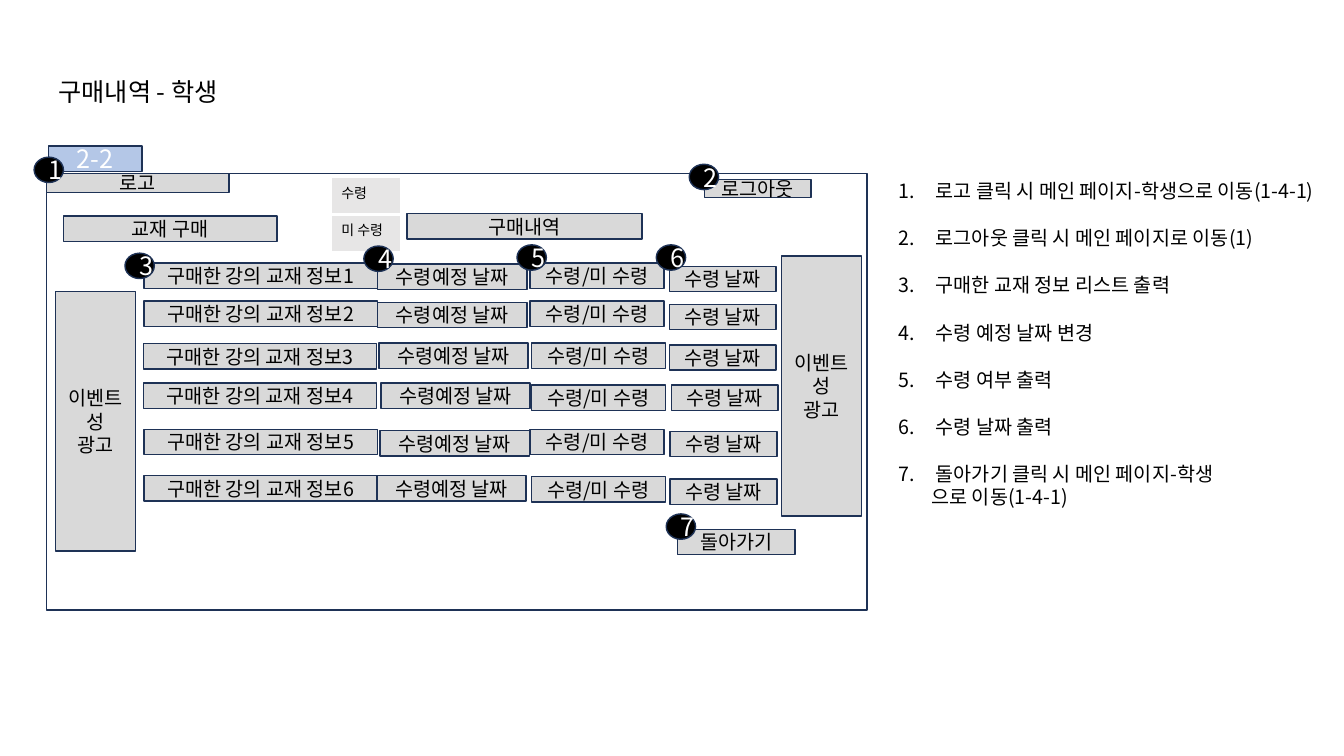
from lxml import etree
from pptx import Presentation
from pptx import util as u
from pptx.dml.color import RGBColor
from pptx.enum import shapes, text
from pptx.oxml import ns

Cm, Pt = u.Cm, u.Pt
FONT = "Noto Sans CJK KR"
COLORS = {
    "black": "000000", "white": "FFFFFF", "navy": "1E3256",
    "gray": "D9D9D9", "blue": "B4C7E7", "cell": "E7E6E6",
}


def format_text(frame, size, color, align):
    for paragraph in frame.paragraphs:
        paragraph.alignment = align
        for run in paragraph.runs:
            for name, value in {"name": FONT, "size": Pt(size), "bold": False}.items():
                setattr(run.font, name, value)
            run.font.color.rgb = RGBColor.from_string(COLORS[color])
            east_asian = etree.SubElement(run.font._element, ns.qn("a:ea"))
            east_asian.set("typeface", FONT)


def add_box(bounds, label="", fill="gray", color="black", size=14,
            kind=shapes.MSO_SHAPE.RECTANGLE):
    shape = slide.shapes.add_shape(kind, *map(Cm, bounds))
    shape.shadow.inherit = False
    shape.fill.solid()
    shape.fill.fore_color.rgb = RGBColor.from_string(COLORS[fill])
    shape.line.color.rgb = RGBColor.from_string(COLORS["navy"])
    shape.line.width = Pt(1)
    if label:
        shape.text_frame.text = label
        format_text(shape.text_frame, size, color, text.PP_ALIGN.CENTER)


presentation = Presentation()
presentation.slide_width = Cm(33.87)
presentation.slide_height = Cm(19.05)
slide = presentation.slides.add_slide(presentation.slide_layouts[1])

notes = [
    "로고 클릭 시 메인 페이지-학생으로 이동(1-4-1)",
    "로그아웃 클릭 시 메인 페이지로 이동(1)",
    "구매한 교재 정보 리스트 출력",
    "수령 예정 날짜 변경",
    "수령 여부 출력",
    "수령 날짜 출력",
    "돌아가기 클릭 시 메인 페이지-학생",
    "으로 이동(1-4-1)",
]
title, body = slide.placeholders
for placeholder, content, size, bounds in [
    (title, "구매내역 - 학생", 18, (1.22, 1.8, 5.31, 1.02)),
    (body, "\n".join(notes), 14, (22.38, 4.39, 11.45, 9.25)),
]:
    placeholder.left, placeholder.top, placeholder.width, placeholder.height = map(Cm, bounds)
    frame = placeholder.text_frame
    frame.text = content
    frame_format = {
        "auto_size": text.MSO_AUTO_SIZE.NONE,
        "vertical_anchor": text.MSO_ANCHOR.TOP,
        "word_wrap": True,
        "margin_right": 0,
    }
    for name, value in frame_format.items():
        setattr(frame, name, value)
    format_text(frame, size, "black", text.PP_ALIGN.LEFT)

for index, paragraph in enumerate(body.text_frame.paragraphs):
    numbered = index < len(notes) - 1
    paragraph.space_before = Pt(16.8 if numbered and index else 0)
    properties = paragraph._p.get_or_add_pPr()
    properties.set("marL", str(Cm(0.95 if numbered else 0.84)))
    properties.set("indent", str(Cm(-0.95 if numbered else 0)))
    if numbered:
        etree.SubElement(properties, ns.qn("a:buFont")).set("typeface", FONT)
        etree.SubElement(properties, ns.qn("a:buAutoNum")).set("type", "arabicPeriod")
    else:
        etree.SubElement(properties, ns.qn("a:buNone"))

add_box((1.17, 4.37, 20.68, 11), fill="white")
add_box((1.22, 3.68, 2.36, 0.64), "2-2", "blue", "white", 18)

for label, bounds in {
    "교재 구매": (1.6, 5.44, 5.38, 0.64),
    "구매내역": (10.26, 5.38, 5.92, 0.64),
    "돌아가기": (17.07, 13.34, 2.97, 0.64),
    "로고": (1.17, 4.37, 4.6, 0.48),
    "로그아웃": (17.75, 4.52, 2.69, 0.46),
}.items():
    add_box(bounds, label)

columns = [
    ("구매한 강의 교재 정보{}", 5.88,
     [3.63, 3.63, 3.61, 3.61, 3.63, 3.63], [6.63, 7.59, 8.66, 9.65, 10.82, 11.99]),
    ("수령/미 수령", 3.38,
     [13.36, 13.36, 13.39, 13.39, 13.36, 13.39], [6.63, 7.59, 8.64, 9.7, 10.82, 12.01]),
    ("수령 날짜", 2.69,
     [16.87, 16.87, 16.87, 16.92, 16.89, 16.89], [6.71, 7.67, 8.69, 9.7, 10.87, 12.07]),
    ("수령예정 날짜", 3.76,
     [9.52, 9.52, 9.55, 9.6, 9.58, 9.5], [6.65, 7.62, 8.64, 9.65, 10.85, 11.99]),
]
for label, width, lefts, tops in columns:
    for number, (left, top) in enumerate(zip(lefts, tops), 1):
        add_box((left, top, width, 0.64), label.format(number))

status_table = slide.shapes.add_table(2, 1, Cm(8.35), Cm(4.48), Cm(1.75), Cm(1.85)).table
status_table.first_row = status_table.horz_banding = False
for row, status in enumerate(["수령", "미 수령"]):
    cell = status_table.cell(row, 0)
    cell.text = status
    format_text(cell.text_frame, 10, "black", text.PP_ALIGN.LEFT)
    borders = {"lnL": 1, "lnR": 1, "lnT": 1 if row == 0 else 3, "lnB": 3 if row == 0 else 1}
    for side, width in borders.items():
        line = etree.SubElement(cell._tc.get_or_add_tcPr(), ns.qn(f"a:{side}"), w=str(Pt(width)))
        line_fill = etree.SubElement(line, ns.qn("a:solidFill"))
        etree.SubElement(line_fill, ns.qn("a:srgbClr"), val=COLORS["white"])
    cell.fill.solid()
    cell.fill.fore_color.rgb = RGBColor.from_string(COLORS["cell"])

markers = [
    (0.86, 3.96), (17.37, 4.14), (3.15, 6.38), (9.17, 6.2),
    (13.03, 6.17), (16.54, 6.17), (16.79, 12.95),
]
for number, (left, top) in enumerate(markers, 1):
    add_box((left, top, 0.74, 0.64), str(number), "black", "white", 18, shapes.MSO_SHAPE.OVAL)

for left, top in [(1.4, 7.34), (19.69, 6.45)]:
    add_box((left, top, 2.02, 6.55), "이벤트성\n광고")

presentation.save("out.pptx")
